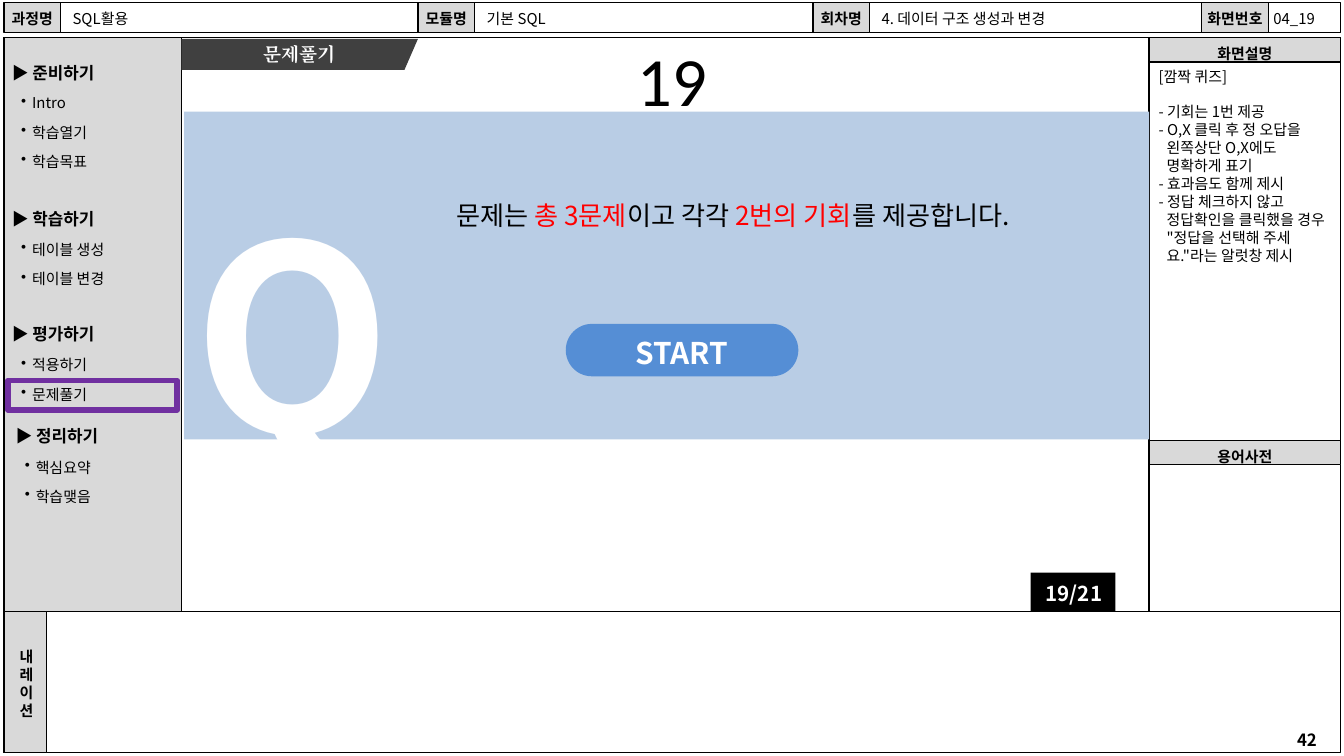
import pptx
import pptx.dml.color
import pptx.enum.shapes
import pptx.enum.text
import pptx.oxml.ns
import pptx.util
from lxml import etree

Pt = pptx.util.Pt
RGB = pptx.dml.color.RGBColor
SHAPE = pptx.enum.shapes.MSO_SHAPE
ALIGN = pptx.enum.text.PP_ALIGN
ANCHOR = pptx.enum.text.MSO_ANCHOR
qn = pptx.oxml.ns.qn

BLACK = RGB(0x00, 0x00, 0x00)
WHITE = RGB(0xFF, 0xFF, 0xFF)
GRAY = RGB(0xD9, 0xD9, 0xD9)
DARK = RGB(0x40, 0x40, 0x40)
RED = RGB(0xFF, 0x00, 0x00)
PALE_BLUE = RGB(0xB9, 0xCD, 0xE5)
BLUE = RGB(0x55, 0x8E, 0xD5)
PURPLE = RGB(0x70, 0x30, 0xA0)

SANS = "Noto Sans CJK KR"
LINE_HEIGHT = 1.2  # line pitch in ems
DROP = 0.08        # lowers the tall sans face onto its baseline, in ems

HEADER_EDGES = [2.2, 32.4, 223.9, 254.2, 435.6, 465.8, 643.7, 679.7, 718.3]
HEADER = ["과정명", "SQL활용", "모듈명", "기본 SQL",
          "회차명", "4. 데이터 구조 생성과 변경", "화면번호", "04_19"]

# left, heading top, items top, heading, items
MENU = [
    (-0.7, 29.5, 49.7, "준비하기", ["Intro", "학습열기", "학습목표"]),
    (-0.7, 107.3, 128.2, "학습하기", ["테이블 생성", "테이블 변경"]),
    (-0.7, 169.2, 190.1, "평가하기", ["적용하기", "문제풀기"]),
    (1.3, 224, 244.8, "정리하기", ["핵심요약", "학습맺음"]),
]

NOTES = ["[깜짝 퀴즈]", "- 기회는 1번 제공",
         "- O,X 클릭 후 정 오답을 왼쪽상단 O,X에도 명확하게 표기",
         "- 효과음도 함께 제시",
         "- 정답 체크하지 않고 정답확인을 클릭했을 경우",
         "\"정답을 선택해 주세요.\"라는 알럿창 제시"]


def style_font(font, size, name, bold, color):
    font.size, font.name, font.bold = Pt(size), name, bold
    font.color.rgb = color


def set_indent(p, left, first):
    pPr = p._p.get_or_add_pPr()
    pPr.set("marL", str(Pt(left)))
    pPr.set("indent", str(Pt(first)))
    return pPr


def add_bullet(p):
    pPr = set_indent(p, 5.8, -5.8)
    bullet = etree.Element(qn("a:buChar"), char="•")
    pPr.insert_element_before(bullet, "a:tabLst", "a:defRPr", "a:extLst")


def write(s, lines, size=8, name=SANS, bold=False, color=BLACK, align=ALIGN.LEFT,
          anchor=ANCHOR.TOP, insets=(7.2, 3.6, 7.2, 3.6), spacing=1, before=0,
          wrap=True):
    """Fill a shape; each line is a string or a list of (text, color) runs."""
    tf = s.text_frame
    tf.word_wrap = wrap
    tf.vertical_anchor = anchor
    left, top, right, bottom = insets
    if name == SANS:
        top += DROP * size * (2 if anchor == ANCHOR.MIDDLE else 1)
    tf.margin_left, tf.margin_top = Pt(left), Pt(top)
    tf.margin_right, tf.margin_bottom = Pt(right), Pt(bottom)
    for i, line in enumerate(lines):
        p = tf.add_paragraph() if i else tf.paragraphs[0]
        p.alignment = align
        p.line_spacing = Pt(round(size * LINE_HEIGHT * spacing, 1))
        p.space_before = Pt(before if i else 0)
        style_font(p.font, size, name, bold, color)
        for text, run_color in [(line, color)] if isinstance(line, str) else line:
            r = p.add_run()
            r.text = text
            style_font(r.font, size, name, bold, run_color)
            etree.SubElement(r._r.get_or_add_rPr(), qn("a:ea"), typeface=name)
    return tf


def paint(s, fill=None, line=None, width=0.75):
    s.shadow.inherit = False
    if fill is None:
        s.fill.background()
    else:
        s.fill.solid()
        s.fill.fore_color.rgb = fill
    if line is None:
        s.line.fill.background()
    else:
        s.line.color.rgb = line
        s.line.width = Pt(width)
    return s


def add_box(slide, x, y, w, h, fill=None, line=BLACK, width=0.75, kind=SHAPE.RECTANGLE):
    s = slide.shapes.add_shape(kind, Pt(x), Pt(y), Pt(w), Pt(h))
    return paint(s, fill, line, width)


def add_label(slide, x, y, w, h, lines, **style):
    s = add_box(slide, x, y, w, h, GRAY)
    write(s, lines, bold=True, align=ALIGN.CENTER, anchor=ANCHOR.MIDDLE,
          wrap=False, **style)


def add_text(slide, x, y, w, h, lines, **style):
    s = slide.shapes.add_textbox(Pt(x), Pt(y), Pt(w), Pt(h))
    return write(s, lines, **style)


def add_header(slide):
    for i, text in enumerate(HEADER):
        x, w = HEADER_EDGES[i], HEADER_EDGES[i + 1] - HEADER_EDGES[i]
        if i % 2 == 0:
            add_label(slide, x, 1.5, w, 16, [text])
        else:
            inset = 2.5 if i == len(HEADER) - 1 else 6.5
            write(add_box(slide, x, 1.5, w, 16, WHITE), [text],
                  anchor=ANCHOR.MIDDLE, insets=(inset, 3, 0, 3), wrap=False)


def add_menu(slide):
    for x, heading_y, items_y, heading, items in MENU:
        add_text(slide, x, heading_y, 83, 18, ["▶ " + heading], size=9, bold=True)
        tf = add_text(slide, x + 5, items_y, 91, 15.5 * len(items), items,
                      insets=(7.2, 0, 0, 0), before=6)
        for p in tf.paragraphs:
            add_bullet(p)


def add_ribbon(slide, x, y, w, h, slant, text):
    fb = slide.shapes.build_freeform(Pt(x), Pt(y), 1)
    fb.add_line_segments([(Pt(x + w), Pt(y)), (Pt(x + w - slant), Pt(y + h)),
                          (Pt(x), Pt(y + h))], close=True)
    write(paint(fb.convert_to_shape(), DARK), [text], size=10, name="Cambria",
          bold=True, color=WHITE, align=ALIGN.CENTER, anchor=ANCHOR.MIDDLE)


def add_notes(slide):
    tf = add_text(slide, 614.2, 32.4, 105.8, 204.5, NOTES, insets=(6.5, 2.9, 6.5, 2.9))
    first, *items, last = tf.paragraphs
    for p in items:
        set_indent(p, 4.3, -4.3)
    set_indent(last, 4.3, 0)
    items[0].space_before = Pt(9.6)


def main():
    prs = pptx.Presentation()
    prs.slide_width, prs.slide_height = Pt(720), Pt(405)
    slide = prs.slides.add_slide(prs.slide_layouts[6])

    # Storyboard frame
    add_box(slide, 2.2, 20.2, 613.4, 307.4, WHITE)
    add_box(slide, 2.2, 20.2, 95, 307.4, GRAY)
    add_box(slide, 615.6, 20.2, 102.7, 307.4, WHITE)
    for y, text in [(20.2, "화면설명"), (236, "용어사전")]:
        add_label(slide, 615.6, y, 102.7, 13, [text], spacing=1.3)
    add_box(slide, 2.2, 327.6, 716.1, 75.6, WHITE)
    add_label(slide, 2.2, 327.6, 22.8, 75.6, list("내레이션"),
              insets=(7.2, 3.6, 5.8, 3.6))
    add_header(slide)
    add_menu(slide)
    add_text(slide, 683.3, 386.6, 33.8, 18, ["42"], size=9, bold=True,
             align=ALIGN.CENTER)

    # Quiz panel
    add_box(slide, 98.6, 59.8, 517, 175.7, PALE_BLUE, None)
    add_notes(slide)
    add_text(slide, 65.5, 79.2, 163.4, 174.2, [" Q"], size=138, bold=True,
             color=WHITE, wrap=False)
    add_ribbon(slide, 97.2, 20.9, 126.7, 16.6, 7.2, "문제풀기")
    add_text(slide, 190, 93.6, 405.4, 32.4,
             [[("문제는 ", BLACK), ("총 3문제", RED), ("이고 각각 ", BLACK),
               ("2번의 기회", RED), ("를 제공합니다.", BLACK)]],
             size=14, align=ALIGN.CENTER, spacing=1.5)
    start = add_box(slide, 303.1, 173.5, 124.6, 28.1, BLUE, None,
                    kind=SHAPE.ROUNDED_RECTANGLE)
    start.adjustments[0] = 0.5
    write(start, ["START"], size=16, bold=True, color=WHITE, align=ALIGN.CENTER,
          anchor=ANCHOR.MIDDLE)

    # Current menu item and page counter
    add_box(slide, 4.3, 203.8, 90.7, 15.8, None, PURPLE, 3)
    write(add_box(slide, 552.2, 306.7, 45.4, 20.9, BLACK, None), ["19/21"], size=11,
          bold=True, color=WHITE, align=ALIGN.RIGHT, wrap=False)

    # Title
    add_text(slide, 36, 16.6, 648, 67.7, ["19"], size=37, name="Calibri",
             align=ALIGN.CENTER)
    prs.save("out.pptx")


if __name__ == "__main__":
    main()
